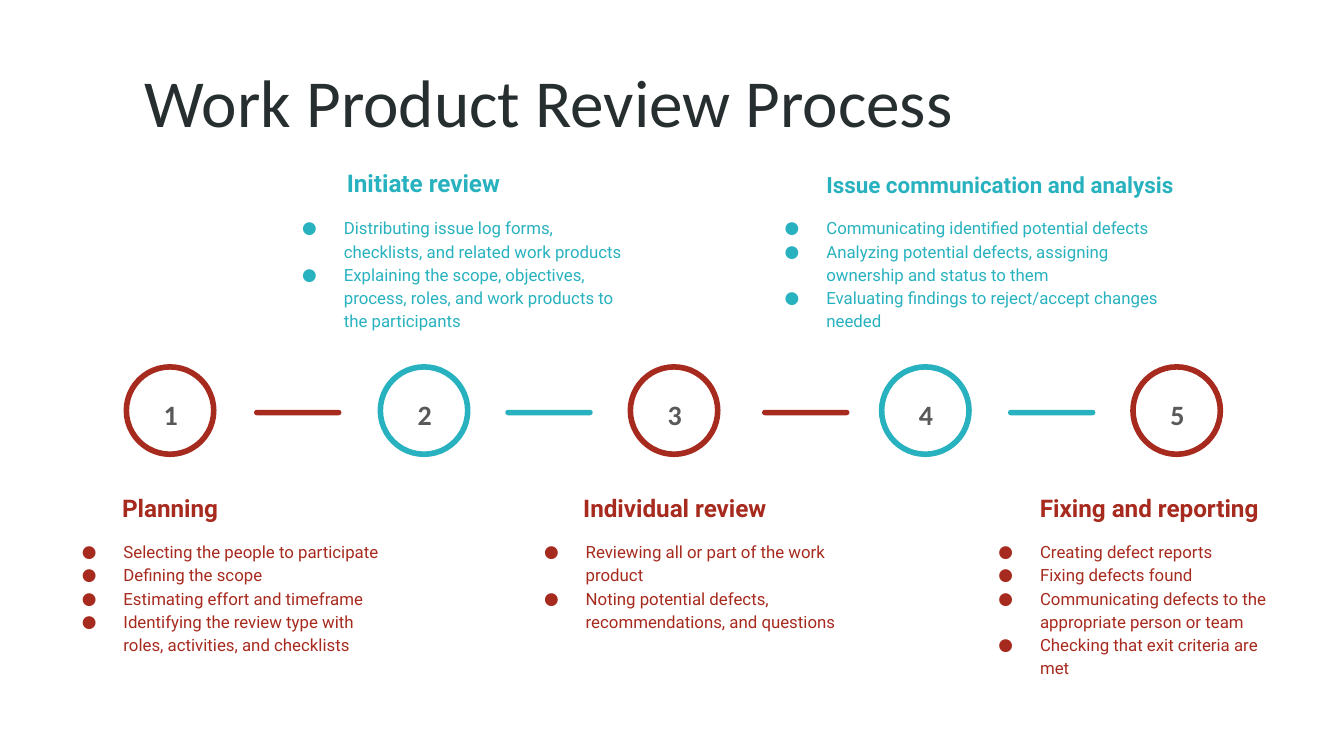
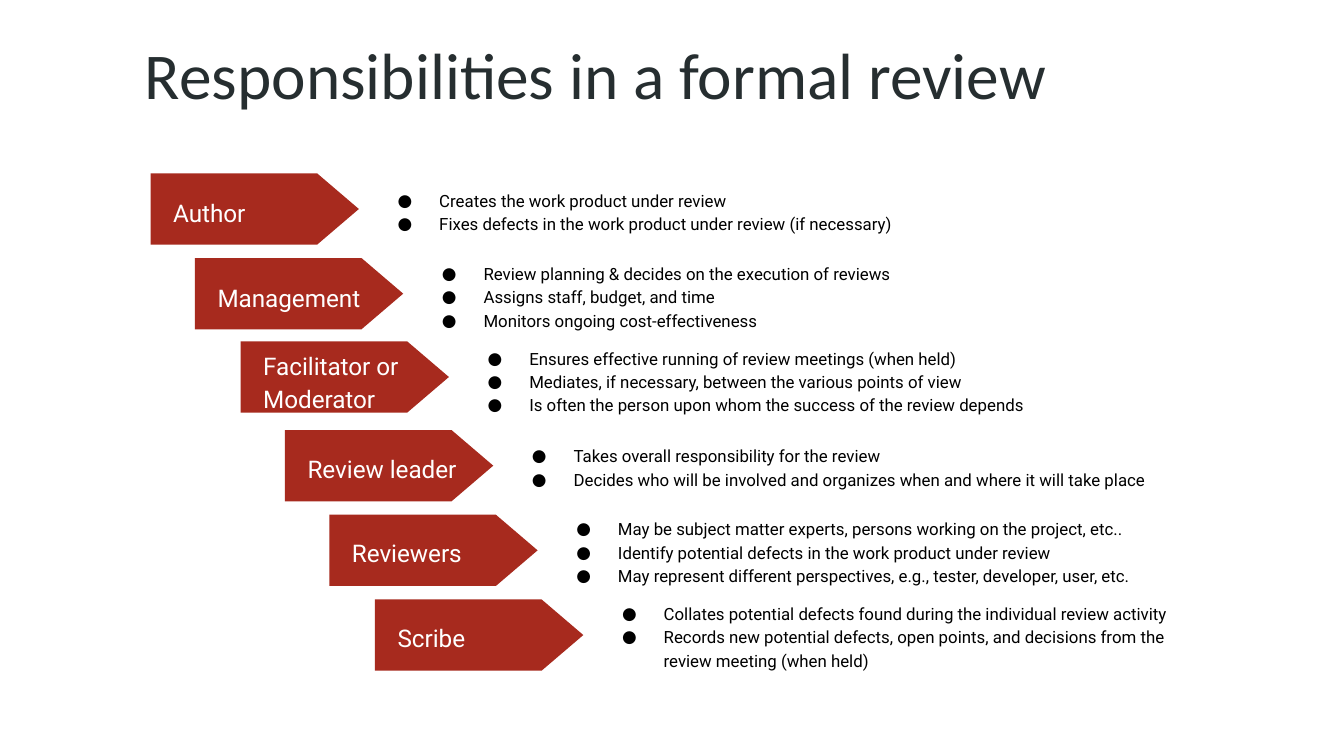
from lxml.etree import SubElement
from pptx import Presentation
from pptx.dml.color import RGBColor
from pptx.enum.shapes import MSO_SHAPE as Shape
from pptx.enum.text import MSO_ANCHOR as Anchor, PP_ALIGN as Align
from pptx.oxml.ns import qn
from pptx.util import Emu, Pt

PX = 9144  # 100 px to the inch
RED = RGBColor(0xA7, 0x2A, 0x1E)
TEAL = RGBColor(0x28, 0xB2, 0xBF)
INK = RGBColor(0x26, 0x2E, 0x30)
GRAY = RGBColor(0x59, 0x59, 0x59)
BLACK = RGBColor(0, 0, 0)
WHITE = RGBColor(0xFF, 0xFF, 0xFF)


def add_text(slide, lines, box, size, color, font="Roboto", bold=False, align=Align.LEFT,
             anchor=Anchor.TOP, spacing=1.15, after=0, bullets=False):
    frame = slide.shapes.add_textbox(*[Emu(value * PX) for value in box]).text_frame
    frame.word_wrap = True
    frame.vertical_anchor = anchor
    frame.margin_left = frame.margin_right = frame.margin_top = frame.margin_bottom = Emu(10 * PX)
    for index, line in enumerate(lines):
        paragraph = frame.add_paragraph() if index else frame.paragraphs[0]
        paragraph.alignment = align
        paragraph.line_spacing = spacing
        paragraph.space_after = Pt(after)
        run = paragraph.add_run()
        run.text = line
        run.font.name, run.font.size, run.font.bold = font, Pt(size), bold
        run.font.color.rgb = color
        if bullets:
            properties = paragraph._p.get_or_add_pPr()
            properties.set("marL", str(50 * PX))
            properties.set("indent", str(-31 * PX))
            bullet_color = SubElement(properties, qn("a:buClr"))
            SubElement(bullet_color, qn("a:srgbClr"), val=str(color))
            SubElement(properties, qn("a:buFont"), typeface=font)
            SubElement(properties, qn("a:buChar"), char="●")


def add_shape(slide, kind, box, fill=None, line=None):
    shape = slide.shapes.add_shape(kind, *[Emu(value * PX) for value in box])
    shape.shadow.inherit = False
    if fill is None:
        shape.fill.background()
    else:
        shape.fill.solid()
        shape.fill.fore_color.rgb = fill
    if line is None:
        shape.line.fill.background()
    else:
        shape.line.color.rgb = line
        shape.line.width = Pt(3)
    return shape


# Widescreen, 16 to 9
presentation = Presentation()
presentation.slide_width = Emu(1000 * PX)
presentation.slide_height = Emu(1000 * PX * 9 // 16)
blank = presentation.slide_layouts[6]
title_style = dict(color=INK, font="Calibri", anchor=Anchor.MIDDLE, spacing=0.85)

# Slide 1: five stages, red below the line and teal above it
slide = presentation.slides.add_slide(blank)
add_text(slide, ["Work Product Review Process"], (98, 27, 798, 105), 36, **title_style)

# Circle left, heading, its left, width, size and alignment, list left and width, points
stages = [
    (94, "Planning", 40, 173, 13, Align.CENTER, 32, 262, [
        "Selecting the people to participate",
        "Defining the scope",
        "Estimating effort and timeframe",
        "Identifying the review type with roles, activities, and checklists"]),
    (283, "Initiate review", 231, 168, 13, Align.CENTER, 196, 278, [
        "Distributing issue log forms, checklists, and related work products",
        "Explaining the scope, objectives, process, roles, and work products to the participants"]),
    (469, "Individual review", 418, 168, 13, Align.CENTER, 376, 256, [
        "Reviewing all or part of the work product",
        "Noting potential defects, recommendations, and questions"]),
    (656, "Issue communication and analysis", 605, 286, 12, Align.LEFT, 555, 328, [
        "Communicating identified potential defects",
        "Analyzing potential defects, assigning ownership and status to them",
        "Evaluating findings to reject/accept changes needed"]),
    (843, "Fixing and reporting", 750, 210, 13, Align.CENTER, 714, 256, [
        "Creating defect reports",
        "Fixing defects found",
        "Communicating defects to the appropriate person or team",
        "Checking that exit criteria are met"]),
]
for number, stage in enumerate(stages, 1):
    circle_left, heading, heading_left, heading_width, size, align, list_left, list_width, points = stage
    if number % 2:
        color, heading_top, list_top, list_height = RED, 350, 391, 122
    else:
        color, heading_top, list_top, list_height = TEAL, 108, 150, 105
    add_shape(slide, Shape.OVAL, (circle_left, 273, 65, 65), line=color)
    add_text(slide, [str(number)], (circle_left + 9, 282, 48, 35), 15, GRAY,
             font="Calibri", bold=True, align=Align.CENTER, after=16)
    add_text(slide, [heading], (heading_left, heading_top, heading_width, 49), size, color,
             bold=True, align=align, anchor=Anchor.BOTTOM)
    add_text(slide, points, (list_left, list_top, list_width, list_height), 9, color, bullets=True)

# Dashes between the circles
for index, left in enumerate((189, 376, 567, 750)):
    dash = add_shape(slide, Shape.ROUNDED_RECTANGLE, (left, 305, 65, 4), fill=(RED, TEAL)[index % 2])
    dash.adjustments[0] = 0.5

# Slide 2: staircase of roles
slide = presentation.slides.add_slide(blank)
add_text(slide, ["Responsibilities in a formal review"], (98, 27, 814, 64), 35, **title_style)

# Role lines, top of the arrow before its turn, list width, duties
roles = [
    (["Author"], 78, 453, [
        "Creates the work product under review",
        "Fixes defects in the work product under review (if necessary)"]),
    (["Management"], 141, 453, [
        "Review planning & decides on the execution of reviews",
        "Assigns staff, budget, and time",
        "Monitors ongoing cost-effectiveness"]),
    (["Facilitator or", "Moderator"], 203, 453, [
        "Ensures effective running of review meetings (when held)",
        "Mediates, if necessary, between the various points of view",
        "Is often the person upon whom the success of the review depends"]),
    (["Review leader"], 269, 506, [
        "Takes overall responsibility for the review",
        "Decides who will be involved and organizes when and where it will take place"]),
    (["Reviewers"], 332, 453, [
        "May be subject matter experts, persons working on the project, etc..",
        "Identify potential defects in the work product under review",
        "May represent different perspectives, e.g., tester, developer, user, etc."]),
    (["Scribe"], 395, 453, [
        "Collates potential defects found during the individual review activity",
        "Records new potential defects, open points, and decisions from the review meeting (when held)"]),
]
for index, (role, arrow_top, list_width, duties) in enumerate(roles):
    left = round(119 + 33.3 * index)
    top = round(130 + 63.2 * index)
    arrow = add_shape(slide, Shape.FLOWCHART_OFFPAGE_CONNECTOR, (left + 44, arrow_top, 53, 155), fill=RED)
    arrow.rotation = 270
    add_text(slide, role, (left, top, 148, 54), 13, WHITE, anchor=Anchor.MIDDLE)
    add_text(slide, duties, (left + 148, top - 8, list_width, 70), 9, BLACK,
             anchor=Anchor.MIDDLE, bullets=True)

presentation.save("out.pptx")
